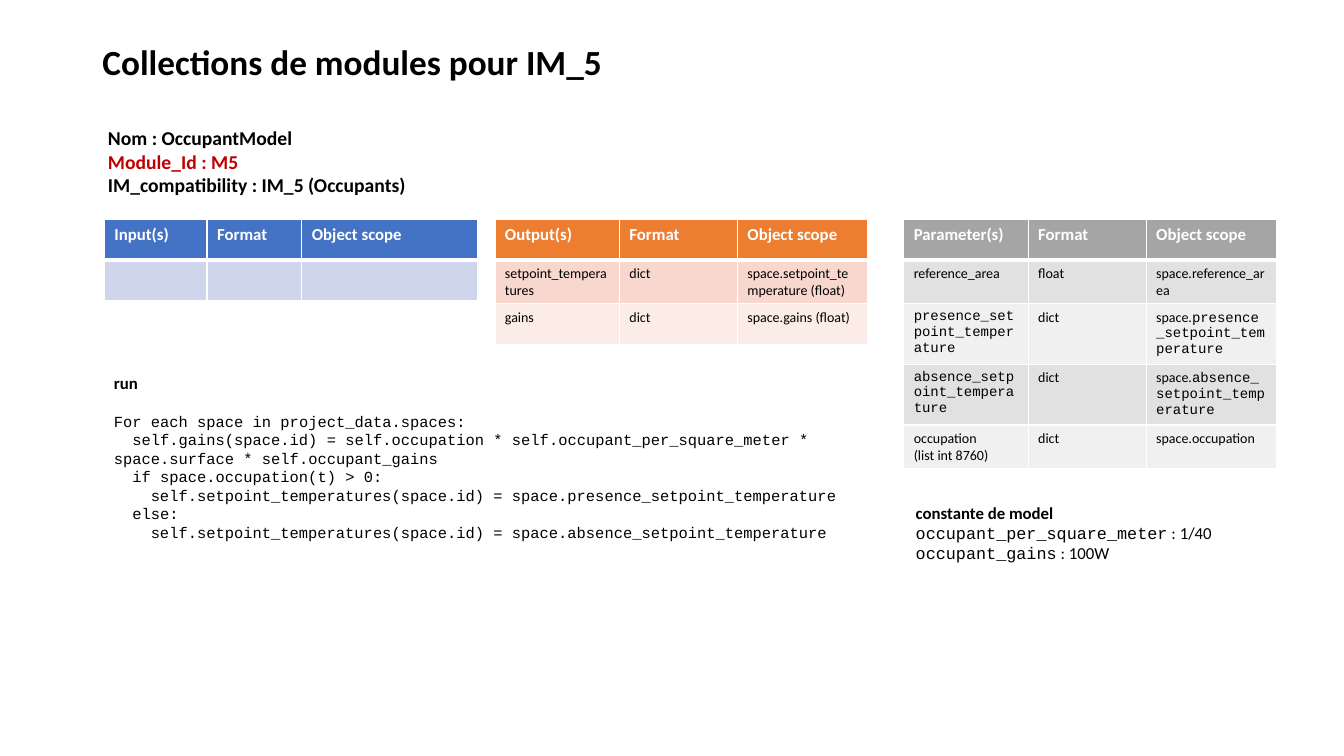
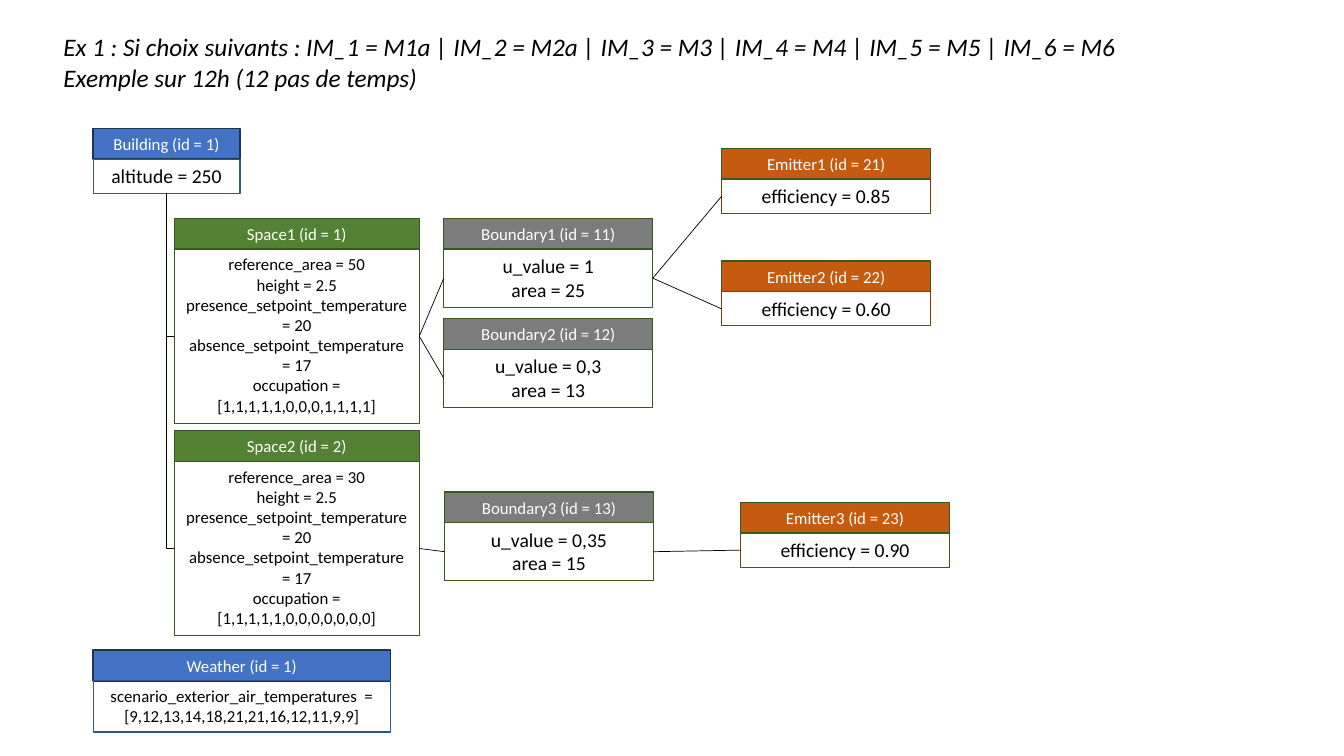
from pptx import Presentation
from pptx.dml.color import RGBColor
from pptx.enum.shapes import MSO_CONNECTOR, MSO_SHAPE
from pptx.enum.text import MSO_ANCHOR, MSO_AUTO_SIZE, PP_ALIGN
from pptx.oxml.ns import qn
from pptx.oxml.xmlchemy import OxmlElement
from pptx.util import Pt

SANS, MONO = "Calibri", "Courier New"
BLACK, WHITE, RED = "000000", "FFFFFF", "C00000"
BLUE, ORANGE, GREY = "4472C4", "ED7D31", "A5A5A5"
TOP, LEFT, BOTTOM, RIGHT = 0, 1, 2, 3
HEAD_H, ROW_H, TABLE_Y = 22, 29.3, 156.5
CODE_INDENT = 13.2
EVEN_COLS = (88.9, 84.3, 93.2)

CARD_STYLES = {
    "building": (BLUE, "1E3256", "2F5597", 14),
    "weather": (BLUE, "1E3256", "2F5597", 12),
    "space": ("548235", "385723", "385723", 12),
    "boundary": ("7C7C7C", "385723", "385723", 14),
    "emitter": ("C55A11", "385723", "843C0B", 14),
}

PRESENCE = ("presence_setpoint_temperature", MONO)
ABSENCE = ("absence_setpoint_temperature", MONO)
SCOPE = ("space.", SANS)
OUTPUTS = [
    ["setpoint_temperatures", "dict", "space.setpoint_temperature (float)"],
    ["gains", "dict", "space.gains (float)"],
]
PARAMETERS = [
    ["reference_area", "float", "space.reference_area"],
    [(PRESENCE,), "dict", (SCOPE, PRESENCE)],
    [(ABSENCE,), "dict", (SCOPE, ABSENCE)],
    ["occupation\n(list int 8760)", "dict", "space.occupation"],
]
CODE = [
    (0, "For each space in project_data.spaces:"),
    (1, "self.gains(space.id) = self.occupation * self.occupant_per_square_meter"
        " * space.surface * self.occupant_gains"),
    (1, "if space.occupation(t) > 0:"),
    (2, "self.setpoint_temperatures(space.id) = space.presence_setpoint_temperature"),
    (1, "else:"),
    (2, "self.setpoint_temperatures(space.id) = space.absence_setpoint_temperature"),
]


def rgb(value):
    return RGBColor.from_string(value)


def style(p, size, color=BLACK, bold=False, italic=False, font=SANS):
    f = p.font
    f.name, f.size, f.bold, f.italic = font, Pt(size), bold, italic
    f.color.rgb = rgb(color)


def write(tf, lines, size, align=PP_ALIGN.LEFT, **look):
    for i, line in enumerate(lines):
        p = tf.add_paragraph() if i else tf.paragraphs[0]
        p.alignment = align
        style(p, size, **look)
        if isinstance(line, str):
            p.add_run().text = line
            continue
        for text, font in line:
            r = p.add_run()
            r.text, r.font.name = text, font


def add_title(s, x, y, w, h, lines, size, anchor, spacing, **look):
    sp = s.shapes.title
    sp.left, sp.top, sp.width, sp.height = Pt(x), Pt(y), Pt(w), Pt(h)
    tf = sp.text_frame
    tf.auto_size, tf.vertical_anchor = MSO_AUTO_SIZE.NONE, anchor
    write(tf, lines, size, **look)
    for p in tf.paragraphs:
        p.line_spacing = spacing


def add_text(s, x, y, w, h, lines, size, **look):
    tf = s.shapes.add_textbox(Pt(x), Pt(y), Pt(w), Pt(h)).text_frame
    tf.word_wrap = True
    write(tf, lines, size, **look)
    return tf


def set_border(cell, side, width):
    ln = OxmlElement(f"a:{side}")
    ln.set("w", str(Pt(width)))
    fill = OxmlElement("a:solidFill")
    color = OxmlElement("a:srgbClr")
    color.set("val", WHITE)
    fill.append(color)
    ln.append(fill)
    cell._tc.get_or_add_tcPr().append(ln)


def add_grid(s, x, cols, label, rows, head_fill, band_fills):
    rows = [[label, "Format", "Object scope"]] + rows
    frame = s.shapes.add_table(len(rows), len(cols), Pt(x), Pt(TABLE_Y),
                               Pt(sum(cols)), Pt(ROW_H * len(rows)))
    table = frame.table
    table.horz_banding = False
    for column, width in zip(table.columns, cols):
        column.width = Pt(width)
    for i, row in enumerate(rows):
        table.rows[i].height = Pt(ROW_H)
        for j, content in enumerate(row):
            cell = table.cell(i, j)
            lines = content.split("\n") if isinstance(content, str) else [content]
            if i == 0:
                write(cell.text_frame, lines, 12, color=WHITE, bold=True)
            else:
                write(cell.text_frame, lines, 10)
            for side in ("lnL", "lnR", "lnT", "lnB"):
                under_head = (i, side) in ((0, "lnB"), (1, "lnT"))
                set_border(cell, side, 3 if under_head else 1)
            cell.fill.solid()
            fill = band_fills[(i - 1) % len(band_fills)] if i else head_fill
            cell.fill.fore_color.rgb = rgb(fill)


def add_box(s, x, y, w, h, lines, size, line, line_w, anchor, fill=None, color=BLACK):
    sp = s.shapes.add_shape(MSO_SHAPE.RECTANGLE, Pt(x), Pt(y), Pt(w), Pt(h))
    sp.shadow.inherit = False
    if fill:
        sp.fill.solid()
        sp.fill.fore_color.rgb = rgb(fill)
    else:
        sp.fill.background()
    sp.line.color.rgb = rgb(line)
    sp.line.width = Pt(line_w)
    sp.text_frame.word_wrap = True
    sp.text_frame.vertical_anchor = anchor
    write(sp.text_frame, lines, size, PP_ALIGN.CENTER, color=color)
    return sp


def add_card(s, kind, x, y, w, title, lines, text_rows=None):
    fill, head_line, body_line, size = CARD_STYLES[kind]
    body_h = round((text_rows or len(lines)) * size * 1.22 + 7.2, 1)
    add_box(s, x, y, w, HEAD_H, [title], 12, head_line, 1, MSO_ANCHOR.MIDDLE, fill, WHITE)
    return add_box(s, x, y + HEAD_H, w, body_h, lines, size, body_line, 0.75, MSO_ANCHOR.TOP)


def add_link(s, start, end, start_site=RIGHT, kind=MSO_CONNECTOR.STRAIGHT):
    c = s.shapes.add_connector(kind, 0, 0, 0, 0)
    c.begin_connect(start, start_site)
    c.end_connect(end, LEFT)
    c.line.color.rgb = rgb(BLACK)
    c.line.width = Pt(0.5)
    c.element.spPr.append(OxmlElement("a:effectLst"))
    return c


def add_branch(s, parent, child):
    c = add_link(s, parent, child, BOTTOM, MSO_CONNECTOR.ELBOW)
    across, down = c.width, c.height
    c.left += (across - down) // 2
    c.top += (down - across) // 2
    c.width, c.height = down, across
    spPr = c.element.spPr
    spPr.find(qn("a:prstGeom")).set("prst", "bentConnector2")
    xfrm = spPr.find(qn("a:xfrm"))
    xfrm.set("rot", str(270 * 60000))
    xfrm.set("flipH", "1")


def add_code(tf):
    for i, (level, text) in enumerate(CODE):
        p = tf.add_paragraph()
        style(p, 11, font=MONO)
        p.add_run().text = text
        pPr = p._p.get_or_add_pPr()
        pPr.set("marL", "0")
        pPr.set("indent", str(Pt(level * CODE_INDENT)))
        if i == 0:
            p.space_before = Pt(13.4)


def module_slide(s):
    add_title(s, 66, 29, 828, 34, ["Collections de modules pour IM_5"], 25.2,
              MSO_ANCHOR.MIDDLE, 0.9, bold=True)
    tf = add_text(s, 70, 86.5, 262, 60,
                  ["Nom : OccupantModel", "Module_Id : M5",
                   "IM_compatibility : IM_5 (Occupants)"], 14, bold=True)
    tf.paragraphs[1].font.color.rgb = rgb(RED)
    add_grid(s, 74.5, (73.4, 67.7, 125.3), "Input(s)", [[""] * 3], BLUE, ["CFD5EA"])
    add_grid(s, 353.5, EVEN_COLS, "Output(s)", OUTPUTS, ORANGE, ["F8D7CE", "FCECE8"])
    add_grid(s, 645.5, EVEN_COLS, "Parameter(s)", PARAMETERS, GREY, ["E1E1E1", "F0F0F0"])
    add_code(add_text(s, 74.2, 263, 572, 128, ["run"], 12, bold=True))
    tf = add_text(s, 647, 355.5, 266, 51,
                  ["constante de model",
                   (("occupant_per_square_meter", MONO), (" : 1/40", SANS)),
                   (("occupant_gains", MONO), (" : 100W", SANS))], 12)
    tf.paragraphs[0].font.bold = True


def example_slide(s):
    add_title(s, 38, 19, 831, 73,
              ["Ex 1 : Si choix suivants : IM_1 = M1a | IM_2 = M2a | IM_3 = M3"
               " | IM_4 = M4 | IM_5 = M5 | IM_6 = M6",
               "Exemple sur 12h (12 pas de temps)"], 18, MSO_ANCHOR.TOP, 1.0, italic=True)
    building = add_card(s, "building", 66.5, 91.7, 105, "Building (id = 1)", ["altitude = 250"])
    add_card(s, "weather", 66.5, 464.4, 212.5, "Weather (id = 1)",
             ["scenario_exterior_air_temperatures  = [9,12,13,14,18,21,21,16,12,11,9,9]"], 2)

    spaces = []
    for number, y, area, occupation in ((1, 156, 50, "[1,1,1,1,1,0,0,0,1,1,1,1]"),
                                        (2, 307.6, 30, "[1,1,1,1,1,0,0,0,0,0,0,0]")):
        lines = [f"reference_area = {area}", "height = 2.5",
                 "presence_setpoint_temperature = 20",
                 "absence_setpoint_temperature = 17", f"occupation = {occupation}"]
        spaces.append(add_card(s, "space", 124.5, y, 175, f"Space{number} (id = {number})",
                               lines, 8))
        add_branch(s, building, spaces[-1])

    boundaries = []
    for number, x, y, space, u_value, area in ((1, 317, 156, 0, "1", 25),
                                               (2, 317, 227.5, 0, "0,3", 13),
                                               (3, 317.5, 351.4, 1, "0,35", 15)):
        boundaries.append(add_card(s, "boundary", x, y, 149.3,
                                   f"Boundary{number} (id = {10 + number})",
                                   [f"u_value = {u_value}", f"area = {area}"]))
        add_link(s, spaces[space], boundaries[-1])

    for number, x, y, boundary, efficiency in ((1, 515.5, 106, 0, "0.85"),
                                               (2, 515.5, 186.5, 0, "0.60"),
                                               (3, 529, 358.8, 2, "0.90")):
        emitter = add_card(s, "emitter", x, y, 149.3, f"Emitter{number} (id = {20 + number})",
                           [f"efficiency = {efficiency}"])
        add_link(s, boundaries[boundary], emitter)


def main():
    prs = Presentation()
    prs.slide_width, prs.slide_height = Pt(960), Pt(540)
    for build in (module_slide, example_slide):
        build(prs.slides.add_slide(prs.slide_layouts[5]))
    prs.save("out.pptx")


if __name__ == "__main__":
    main()
